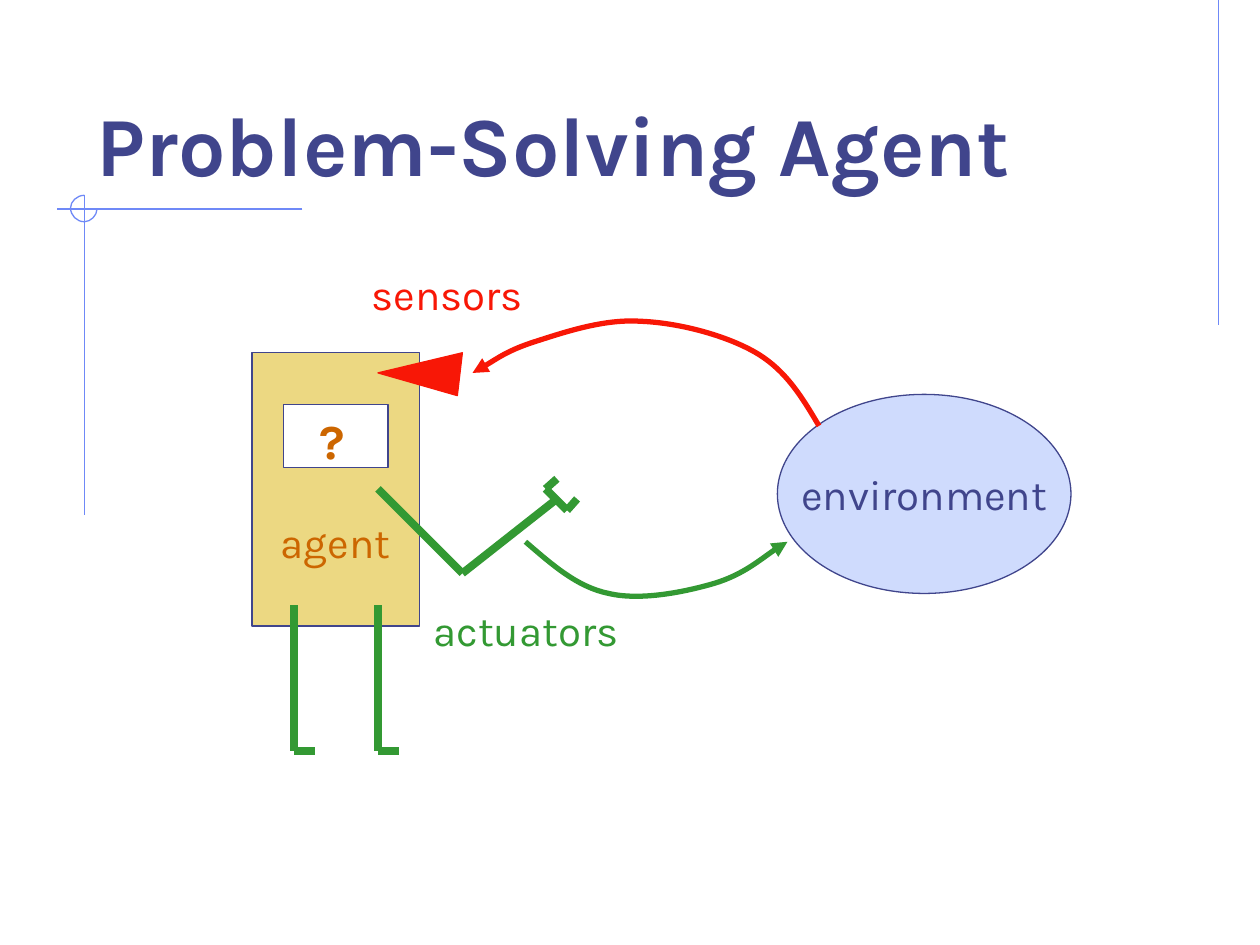
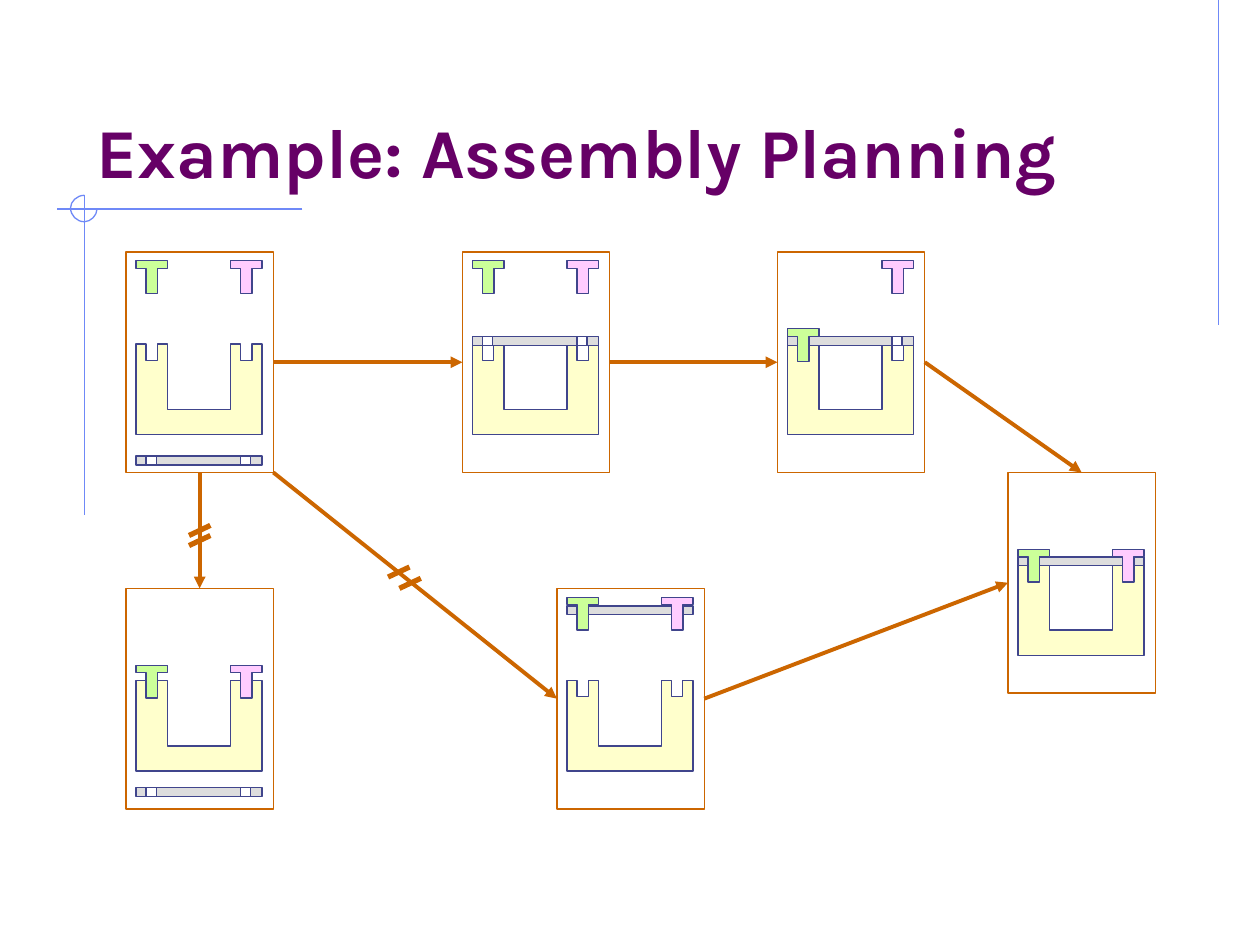
from lxml import etree
from pptx import Presentation
from pptx.dml.color import RGBColor
from pptx.enum.shapes import MSO_CONNECTOR, MSO_SHAPE
from pptx.enum.text import MSO_ANCHOR, PP_ALIGN
from pptx.oxml.ns import qn
from pptx.util import Inches, Pt

FONT = "Karla"
NAVY = RGBColor(0x40, 0x45, 0x8C)
PURPLE = RGBColor(0x66, 0x00, 0x66)
RULE_BLUE = RGBColor(0x6F, 0x89, 0xF7)
PALE_BLUE = RGBColor(0xCF, 0xDB, 0xFD)
RED = RGBColor(0xF8, 0x17, 0x06)
GREEN = RGBColor(0x33, 0x99, 0x33)
ORANGE = RGBColor(0xCC, 0x66, 0x00)
SAND = RGBColor(0xEC, 0xD8, 0x82)
CREAM = RGBColor(0xFF, 0xFF, 0xCC)
GREY = RGBColor(0xDD, 0xDD, 0xDD)
LIME = RGBColor(0xCC, 0xFF, 0x99)
PINK = RGBColor(0xFF, 0xCC, 0xFF)
WHITE = RGBColor(0xFF, 0xFF, 0xFF)

TOP, LEFT, BOTTOM, RIGHT = range(4)  # connection sites of a rectangle

# Corners of the assembly parts, from each part's top left
BODY = [(0, 0), (0.08, 0), (0.08, 0.13), (0.17, 0.13), (0.17, 0), (0.25, 0),
        (0.25, 0.52), (0.75, 0.52), (0.75, 0), (0.83, 0), (0.83, 0.13),
        (0.92, 0.13), (0.92, 0), (1, 0), (1, 0.72), (0, 0.72)]
PEG = [(0, 0), (0.25, 0), (0.25, 0.06), (0.17, 0.06), (0.17, 0.26),
       (0.08, 0.26), (0.08, 0.06), (0, 0.06)]

# Heights of the parts inside a state box
PEG_UP, PEG_IN = 0.07, 0.61
PLATE_UP, PLATE_ON = 0.14, 0.67

# State: left, top, plate height, lime peg height, pink peg height
STATES = {
    "start": (1, 2, 1.62, PEG_UP, PEG_UP),
    "plate on": (3.67, 2, PLATE_ON, PEG_UP, PEG_UP),
    "lime in": (6.17, 2, PLATE_ON, PEG_IN, PEG_UP),
    "goal": (8, 3.75, PLATE_ON, PEG_IN, PEG_IN),
    "plate left out": (1, 4.67, 1.58, PEG_IN, PEG_IN),
    "plate on pegs": (4.42, 4.67, PLATE_UP, PEG_UP, PEG_UP),
}
MOVES = [
    ("start", BOTTOM, "plate left out", TOP),
    ("start", RIGHT, "plate on", LEFT),
    ("plate on", RIGHT, "lime in", LEFT),
    ("plate on pegs", RIGHT, "goal", LEFT),
    ("lime in", RIGHT, "goal", TOP),
]
STRIKES = [(1.5, 4.25), (1.5, 4.33), (3.08, 4.58), (3.17, 4.67)]


def paint(shape, fill, line, width=0.75):
    shape.shadow.inherit = False
    if fill is None:
        shape.fill.background()
    else:
        shape.fill.solid()
        shape.fill.fore_color.rgb = fill
    shape.line.color.rgb = line
    shape.line.width = Pt(width)
    return shape


def add_arrowhead(shape):
    outline = shape._element.spPr.find(qn("a:ln"))
    etree.SubElement(outline, qn("a:tailEnd"), type="triangle")


def add_preset(slide, preset, box, fill, line):
    shape = slide.shapes.add_shape(preset, *map(Inches, box))
    return paint(shape, fill, line)


def add_outline(slide, left, top, points, fill, line, width=0.75, close=True):
    """Freeform through points measured from left, top."""
    start, *rest = [(Inches(left + x), Inches(top + y)) for x, y in points]
    builder = slide.shapes.build_freeform(*start, scale=1.0)
    builder.add_line_segments(rest, close=close)
    return paint(builder.convert_to_shape(), fill, line, width)


def add_curve(slide, left, top, points, color, width):
    """Open Bezier curve: a start point, then three points per segment."""
    curve = add_outline(slide, left, top, points, None, color, width, close=False)
    track = curve._element.find(".//" + qn("a:path"))
    steps = track.findall(qn("a:lnTo"))
    for i in range(0, len(steps), 3):
        bezier = etree.SubElement(track, qn("a:cubicBezTo"))
        for step in steps[i:i + 3]:
            bezier.append(step[0])
            track.remove(step)
    return curve


def add_line(slide, start, end, color, width):
    line = slide.shapes.add_connector(
        MSO_CONNECTOR.STRAIGHT, *map(Inches, (*start, *end)))
    line.line.color.rgb = color
    line.line.width = Pt(width)
    etree.SubElement(line._element.spPr, qn("a:effectLst"))
    return line


def write(frame, text, size, color, bold=False):
    run = frame.paragraphs[0].add_run()
    run.text = text
    font = run.font
    font.name, font.size, font.bold = FONT, Pt(size), bold
    font.color.rgb = color


def add_label(slide, box, text, color, size=24, bold=False):
    frame = slide.shapes.add_textbox(*map(Inches, box)).text_frame
    frame.word_wrap = False
    write(frame, text, size, color, bold)


def start_slide(prs, title, size, color):
    """Blank slide with the blue rules and a title."""
    slide = prs.slides.add_slide(prs.slide_layouts[6])
    for start, end in [((9.67, 0), (9.67, 2.58)), ((2.4, 1.66), (0.45, 1.66)),
                       ((0.67, 1.55), (0.67, 4.09))]:
        add_line(slide, start, end, RULE_BLUE, 0.75)
    three_quarter_ring = [(0.11, 0), (0.05, 0), (0, 0.05), (0, 0.1),
                          (0, 0.16), (0.05, 0.21), (0.11, 0.21),
                          (0.16, 0.21), (0.21, 0.16), (0.21, 0.11)]
    add_curve(slide, 0.56, 1.55, three_quarter_ring, RULE_BLUE, 0.75)
    heading = slide.shapes.add_textbox(
        Inches(0.67), Inches(0.33), Inches(8.5), Inches(1.25)).text_frame
    heading.word_wrap = True
    heading.vertical_anchor = MSO_ANCHOR.BOTTOM
    write(heading, title, size, color, bold=True)
    return slide


def draw_environment(slide, left, top, width, height):
    ellipse = add_preset(slide, MSO_SHAPE.OVAL, (left, top, width, height),
                         PALE_BLUE, NAVY)
    frame = ellipse.text_frame
    frame.word_wrap = False
    frame.vertical_anchor = MSO_ANCHOR.MIDDLE
    frame.paragraphs[0].alignment = PP_ALIGN.CENTER
    write(frame, "environment", 24, NAVY)


def draw_agent(slide, left, top):
    add_preset(slide, MSO_SHAPE.RECTANGLE, (left, top, 1.33, 2.17), SAND, NAVY)
    add_label(slide, (left + 0.13, top + 1.25, 1.1, 0.5), "agent", ORANGE)
    add_preset(slide, MSO_SHAPE.RECTANGLE,
               (left + 0.25, top + 0.41, 0.83, 0.5), WHITE, NAVY)
    add_label(slide, (left + 0.44, top + 0.41, 0.38, 0.57), "?", ORANGE, 28, True)
    shoulder, elbow, wrist = (1, 1.08), (1.67, 1.75), (2.42, 1.16)
    grip_top, grip_bottom = (2.33, 1.08), (2.5, 1.25)
    limbs = [(shoulder, elbow), (elbow, wrist), (grip_top, grip_bottom),
             (grip_top, (2.42, 1)), (grip_bottom, (2.58, 1.16))]
    for x in (0.33, 1):
        heel = (x, 3.16)
        limbs += [(heel, (x, 2)), (heel, (x + 0.17, 3.16))]
    for limb in limbs:
        start, end = [(left + x, top + y) for x, y in limb]
        add_line(slide, start, end, GREEN, 4.5)
    eye = [(1, 0.16), (1.67, 0), (1.63, 0.34)]
    add_outline(slide, left, top, eye, RED, RED)


def draw_sensing(slide, left, top):
    add_label(slide, (left, top, 1.41, 0.5), "sensors", RED)
    track = [(3.65, 1.3), (3.52, 1.08), (3.39, 0.86), (3.15, 0.72),
             (2.91, 0.58), (2.53, 0.48), (2.23, 0.47),
             (1.94, 0.45), (1.62, 0.56), (1.4, 0.63),
             (1.18, 0.7), (0.98, 0.84), (0.9, 0.88)]
    add_arrowhead(add_curve(slide, left, top, track, RED, 3))


def draw_acting(slide, left, top):
    track = [(0.83, 0), (1.04, 0.18), (1.24, 0.36), (1.49, 0.41),
             (1.74, 0.47), (2.09, 0.4), (2.33, 0.33),
             (2.56, 0.26), (2.81, 0.05), (2.91, 0)]
    add_arrowhead(add_curve(slide, left, top, track, GREEN, 3))
    add_label(slide, (left, top + 0.45, 1.68, 0.5), "actuators", GREEN)


def draw_state(slide, left, top, plate_y, lime_y, pink_y):
    """One assembly state; returns its frame."""
    inner = left + 0.08
    add_outline(slide, inner, top + 0.73, BODY, CREAM, NAVY)
    for x, width, fill in [(0, 1, GREY), (0.83, 0.08, WHITE), (0.08, 0.08, WHITE)]:
        add_preset(slide, MSO_SHAPE.RECTANGLE,
                   (inner + x, top + plate_y, width, 0.07), fill, NAVY)
    for x, y, fill in [(0, lime_y, LIME), (0.75, pink_y, PINK)]:
        add_outline(slide, inner + x, top + y, PEG, fill, NAVY)
    return add_preset(slide, MSO_SHAPE.RECTANGLE, (left, top, 1.17, 1.75),
                      None, ORANGE)


def build_agent_slide(prs):
    slide = start_slide(prs, "Problem-Solving Agent", 48, NAVY)
    draw_environment(slide, 6.17, 3.13, 2.33, 1.58)
    draw_agent(slide, 2, 2.8)
    draw_sensing(slide, 2.85, 2.08)
    draw_acting(slide, 3.34, 4.3)


def build_assembly_slide(prs):
    slide = start_slide(prs, "Example: Assembly Planning", 40, PURPLE)
    frames = {name: draw_state(slide, *state) for name, state in STATES.items()}
    for source, exit_side, target, entry_side in MOVES:
        move = add_line(slide, (0, 0), (1, 1), ORANGE, 2.25)
        move.begin_connect(frames[source], exit_side)
        move.end_connect(frames[target], entry_side)
        add_arrowhead(move)
    diagonal = add_line(slide, (2.17, 3.75), (4.42, 5.58), ORANGE, 2.25)
    diagonal.end_connect(frames["plate on pegs"], LEFT)
    add_arrowhead(diagonal)
    for x, y in STRIKES:
        add_line(slide, (x, y), (x + 0.17, y - 0.08), ORANGE, 3)


def main():
    prs = Presentation()
    prs.slide_width, prs.slide_height = Inches(10), Inches(7.5)
    build_agent_slide(prs)
    build_assembly_slide(prs)
    prs.save("out.pptx")


if __name__ == "__main__":
    main()
